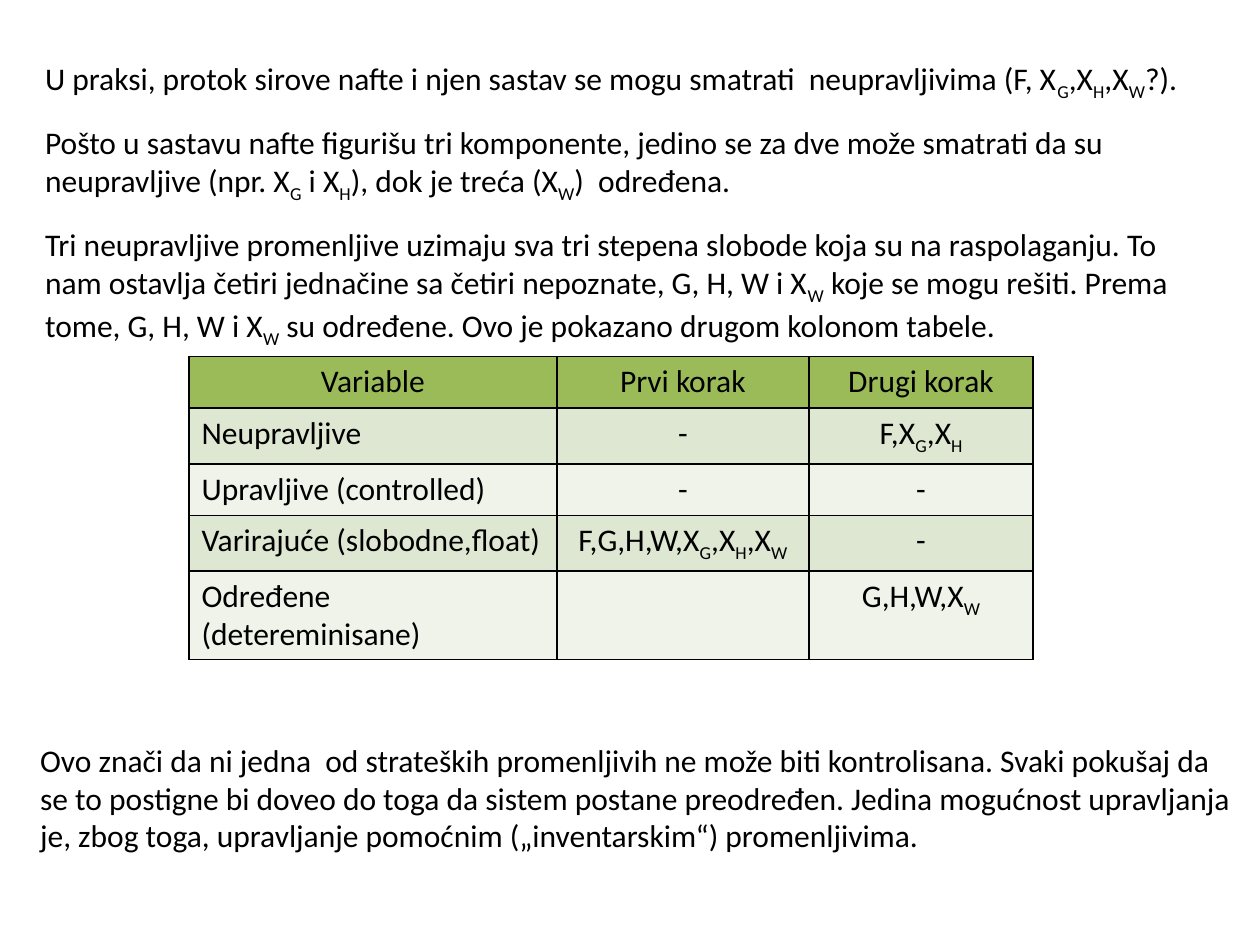
from dataclasses import dataclass

from lxml import etree
from pptx import Presentation
from pptx.dml.color import RGBColor
from pptx.enum.text import MSO_AUTO_SIZE, PP_ALIGN
from pptx.oxml.ns import qn
from pptx.util import Inches, Pt

LEFT, CENTER = PP_ALIGN.LEFT, PP_ALIGN.CENTER
FIT_SHAPE = MSO_AUTO_SIZE.SHAPE_TO_FIT_TEXT


@dataclass(frozen=True)
class Theme:
    font: str = "Calibri"
    size: int = 18
    ink: str = "000000"
    header: str = "9BBB59"
    bands: tuple = ("DEE7D1", "EFF3EA")
    border: float = 1
    subscript: int = -25000


THEME = Theme()

# Content: an underscore lowers the letter after it
ASSUMPTIONS = [
    "U praksi, protok sirove nafte i njen sastav se mogu smatrati  neupravljivima "
    "(F, X_G,X_H,X_W?).",
    "Pošto u sastavu nafte figurišu tri komponente, jedino se za dve može smatrati da su "
    "neupravljive (npr. X_G i X_H), dok je treća (X_W)  određena.",
    "Tri neupravljive promenljive uzimaju sva tri stepena slobode koja su na raspolaganju. "
    "To nam ostavlja četiri jednačine sa četiri nepoznate, G, H, W i X_W koje se mogu rešiti. "
    "Prema tome, G, H, W i X_W su određene. Ovo je pokazano drugom kolonom tabele.",
]
VARIABLES = [
    ("Variable", "Prvi korak", "Drugi korak"),
    ("Neupravljive", "-", "F,X_G,X_H"),
    ("Upravljive (controlled)", "-", "-"),
    ("Varirajuće (slobodne,float)", "F,G,H,W,X_G,X_H,X_W", "-"),
    ("Određene (detereminisane)", "", "G,H,W,X_W"),
]
CONCLUSION = [
    "Ovo znači da ni jedna  od strateških promenljivih ne može biti kontrolisana. "
    "Svaki pokušaj da se to postigne bi doveo do toga da sistem postane preodređen. "
    "Jedina mogućnost upravljanja je, zbog toga, upravljanje pomoćnim "
    "(„inventarskim“) promenljivima.",
]
COLUMN_WIDTHS = (2.92, 2, 1.78)
ROW_HEIGHTS = (0.41, 0.41, 0.41, 0.41, 0.7)


def apply(target, values):
    for name, value in values.items():
        setattr(target, name, value)


def add_run(paragraph, text, lowered=False):
    if not text:
        return
    run = paragraph.add_run()
    run.text = text
    apply(run.font, {"name": THEME.font, "size": Pt(THEME.size)})
    run.font.color.rgb = RGBColor.from_string(THEME.ink)
    if lowered:
        run.font._element.set("baseline", str(THEME.subscript))


def write(paragraph, text, **layout):
    apply(paragraph, layout)
    plain, *lowered_parts = text.split("_")
    add_run(paragraph, plain)
    for part in lowered_parts:
        add_run(paragraph, part[0], lowered=True)
        add_run(paragraph, part[1:])


def add_body(slide, box, texts, gap=0):
    frame = slide.shapes.add_textbox(*map(Inches, box)).text_frame
    apply(frame, {"word_wrap": True, "auto_size": FIT_SHAPE})
    for index, text in enumerate(texts):
        paragraph = frame.add_paragraph() if index else frame.paragraphs[0]
        write(paragraph, text, space_before=Pt(gap), space_after=Pt(gap))


def add_borders(cell):
    properties = cell._tc.get_or_add_tcPr()
    for position, side in enumerate(("lnL", "lnR", "lnT", "lnB")):
        line = etree.Element(qn(f"a:{side}"), w=str(Pt(THEME.border)))
        fill = etree.SubElement(line, qn("a:solidFill"))
        etree.SubElement(fill, qn("a:srgbClr"), val=THEME.ink)
        properties.insert(position, line)


def add_variable_table(slide, box, rows):
    table = slide.shapes.add_table(len(rows), len(rows[0]), *map(Inches, box)).table
    for column, width in zip(table.columns, COLUMN_WIDTHS):
        column.width = Inches(width)
    for row, height in zip(table.rows, ROW_HEIGHTS):
        row.height = Inches(height)
    for r, texts in enumerate(rows):
        color = THEME.bands[(r - 1) % 2] if r else THEME.header
        for c, text in enumerate(texts):
            cell = table.cell(r, c)
            cell.fill.solid()
            cell.fill.fore_color.rgb = RGBColor.from_string(color)
            add_borders(cell)
            write(cell.text_frame.paragraphs[0], text,
                  alignment=LEFT if r and not c else CENTER)


def build():
    deck = Presentation()
    apply(deck, {"slide_width": Inches(10), "slide_height": Inches(7.5)})
    slide = deck.slides.add_slide(deck.slide_layouts[6])
    # Assumptions, table of variables, conclusion
    add_body(slide, (0.26, 0.42, 9.5, 2.26), ASSUMPTIONS, gap=6)
    add_variable_table(slide, (1.5, 2.83, 6.7, 2.34), VARIABLES)
    add_body(slide, (0.22, 5.83, 9.75, 1.31), CONCLUSION)
    deck.save("out.pptx")


build()
